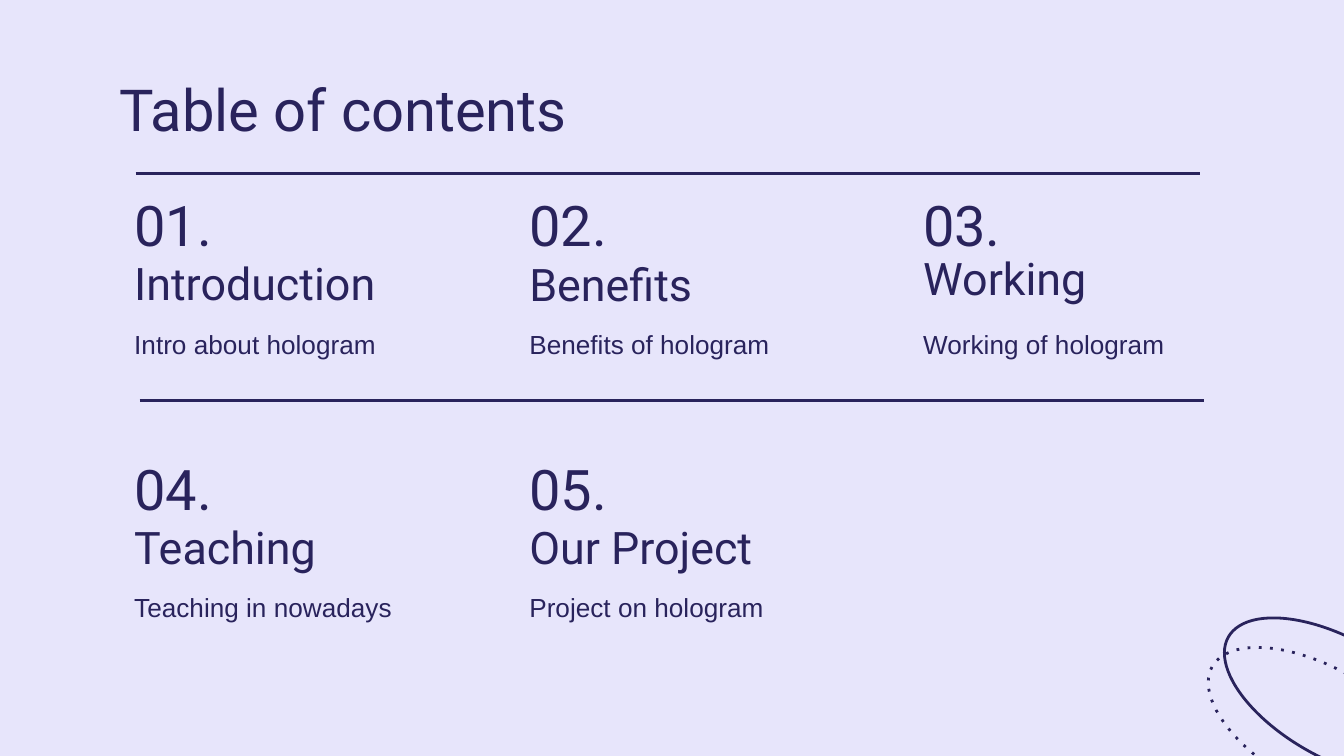
from lxml.etree import SubElement
from pptx import Presentation
from pptx.dml.color import RGBColor
from pptx.enum.shapes import MSO_CONNECTOR, MSO_SHAPE
from pptx.enum.text import MSO_ANCHOR
from pptx.oxml.ns import qn
from pptx.util import Inches, Pt

COLORS = {"background": "E7E5FB", "ink": "29235C"}
TITLE = "Table of contents"
SECTIONS = [
    {"heading": "Introduction", "detail": "Intro about hologram", "lift": 0.01},
    {"heading": "Benefits", "detail": "Benefits of hologram"},
    {"heading": "Working", "detail": "Working of hologram", "height": 0.39},
    {"heading": "Teaching", "detail": "Teaching in nowadays"},
    {"heading": "Our Project", "detail": "Project on hologram"},
]
RULES = [(1.01, 1.29), (1.04, 2.98)]
ORBITS = [(9.5, 4.27, "solid"), (9.38, 4.49, "dot")]

COLUMN_LEFTS = [0.9, 3.84, 6.77]
GRID_TOP, ROW_STEP = 1.43, 1.96
HEADING_DROP, DETAIL_DROP = 0.44, 0.89
LINE_HEIGHT = 0.48
RULE_LENGTH = 7.92
ORBIT_WIDTH, ORBIT_HEIGHT, ORBIT_TURN = 0.89, 1.85, 299.4

deck = Presentation()
deck.slide_width = Inches(10)
deck.slide_height = deck.slide_width * 9 // 16
page = deck.slides.add_slide(deck.slide_layouts[6])
page.background.fill.solid()
page.background.fill.fore_color.rgb = RGBColor.from_string(COLORS["background"])


def add_text(text, left, top, width, height=LINE_HEIGHT, size=14, font="Roboto"):
    box = page.shapes.add_textbox(*map(Inches, (left, top, width, height)))
    frame = box.text_frame
    frame.word_wrap = True
    frame.vertical_anchor = MSO_ANCHOR.MIDDLE
    frame.margin_left = frame.margin_right = Inches(0.1)
    frame.margin_top = frame.margin_bottom = Inches(0.1)
    span = frame.paragraphs[0].add_run()
    span.text = text
    span.font.name = font
    span.font.size = Pt(size)
    span.font.color.rgb = RGBColor.from_string(COLORS["ink"])


def ink_line(line):
    line.color.rgb = RGBColor.from_string(COLORS["ink"])
    line.width = Pt(1.5)


for left, top, dash in ORBITS:
    orbit = page.shapes.add_shape(
        MSO_SHAPE.OVAL, *map(Inches, (left, top, ORBIT_WIDTH, ORBIT_HEIGHT)))
    orbit.rotation = ORBIT_TURN
    orbit.shadow.inherit = False
    orbit.fill.background()
    ink_line(orbit.line)
    outline = orbit._element.spPr.find(qn("a:ln"))
    SubElement(outline, qn("a:prstDash"), val=dash)

for index, section in enumerate(SECTIONS):
    row, column = divmod(index, len(COLUMN_LEFTS))
    left = COLUMN_LEFTS[column]
    top = GRID_TOP + row * ROW_STEP
    heading_top = top + HEADING_DROP - section.get("lift", 0)
    heading_height = section.get("height", LINE_HEIGHT)
    add_text(section["heading"], left, heading_top, 2.62, heading_height, size=24)
    add_text(f"{index + 1:02}.", left, top, 1.39, size=30)
    add_text(section["detail"], left, top + DETAIL_DROP, 2.32, font="Arial")

add_text(TITLE, 0.79, 0.49, 8.43, height=0.63, size=31)

for left, top in RULES:
    rule = page.shapes.add_connector(
        MSO_CONNECTOR.STRAIGHT, *map(Inches, (left, top, left + RULE_LENGTH, top)))
    ink_line(rule.line)
    SubElement(rule._element.spPr, qn("a:effectLst"))

deck.save("out.pptx")
